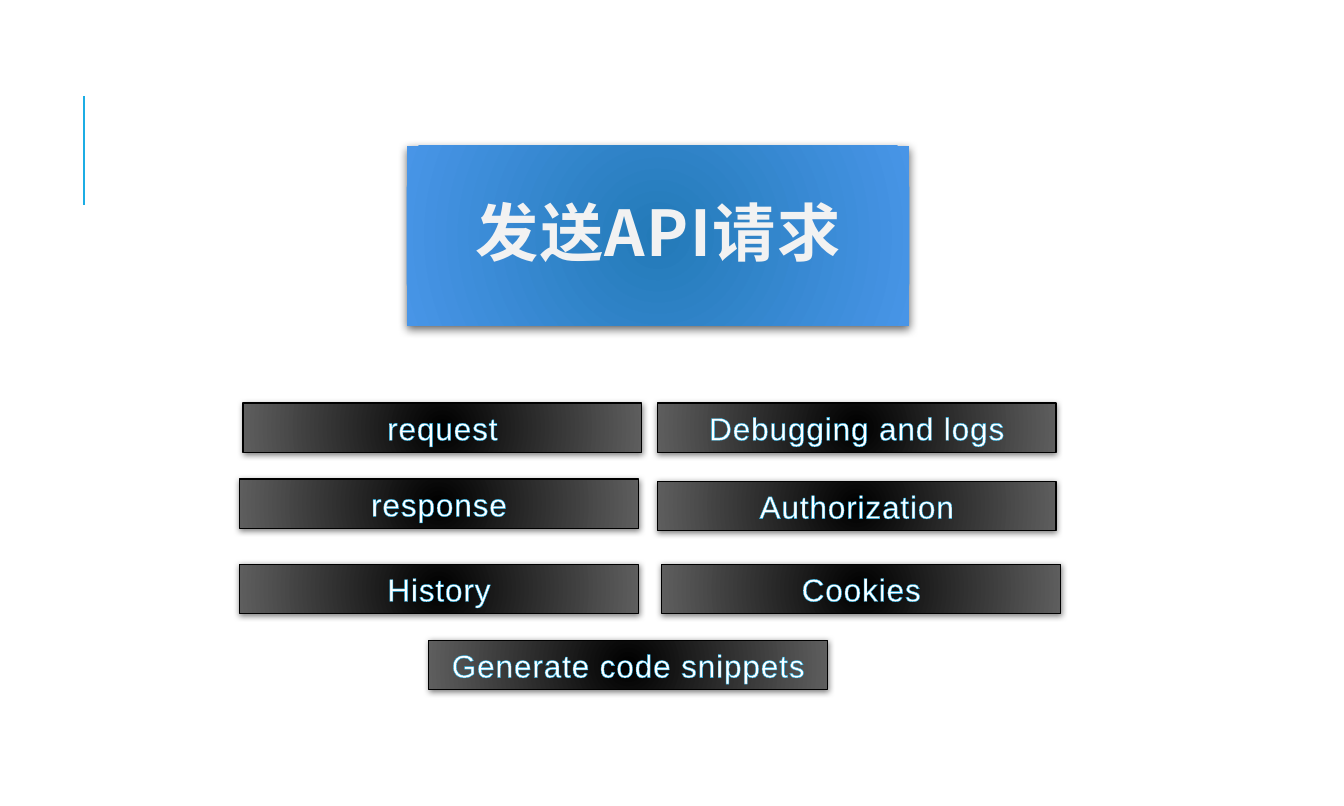
"""Build the slide of API request topics."""
from lxml import etree
from pptx import Presentation, util as u
from pptx.dml.color import RGBColor
from pptx.enum import shapes, text
from pptx.oxml.ns import qn

PX = 9000
WHITE = RGBColor(0xFF, 0xFF, 0xFF)
PALE = RGBColor(0xF2, 0xF2, 0xF2)
BLACK = RGBColor(0, 0, 0)
GRAY = RGBColor(0x5E, 0x5E, 0x5E)
CYAN = RGBColor(0x1C, 0xAD, 0xE4)
BLUE = RGBColor(0x23, 0x7A, 0xB8)
SKY = RGBColor(0x48, 0x95, 0xE7)
BAR_W, BAR_H = 356, 44
TOPICS = [
    ("request", 217, 360),
    ("response", 214, 428),
    ("History", 214, 504),
    ("Debugging and logs", 587, 360),
    ("Cookies", 591, 504),
    ("Authorization", 587, 430),
    ("Generate code snippets", 383, 572),
]


def px(n):
    """Turn pixels into EMU."""
    return u.Emu(n * PX)


def sub(node, tag, **attrs):
    """Add a child element with the given attributes."""
    return etree.SubElement(node, qn(tag), {k: str(v) for k, v in attrs.items()})


def glow(shape, inner, outer):
    """Fill a shape with a radial gradient."""
    shape.fill.gradient()
    for stop, color in zip(shape.fill.gradient_stops, (inner, outer)):
        stop.color.rgb = color
    grad = shape.element.spPr.find(qn("a:gradFill"))
    grad.remove(grad.find(qn("a:lin")))
    ring = sub(grad, "a:path", path="circle")
    sub(ring, "a:fillToRect", l=100000, t=100000, r=100000, b=100000)


def shade(shape, alpha, blur, dist):
    """Give a shape a soft shadow straight below it."""
    shape.shadow.inherit = False
    effects = shape.element.spPr.find(qn("a:effectLst"))
    drop = sub(effects, "a:outerShdw", blurRad=u.Pt(blur), dist=u.Pt(dist),
               dir=5400000, algn="ctr", rotWithShape=0)
    color = sub(drop, "a:srgbClr", val=BLACK)
    sub(color, "a:alpha", val=alpha * 1000)


def write(shape, words, face, size, color, gap):
    """Write one centred paragraph and return its font element."""
    frame = shape.text_frame
    frame.word_wrap = True
    frame.vertical_anchor = text.MSO_ANCHOR.MIDDLE
    para = frame.paragraphs[0]
    para.text = words
    para.alignment = text.PP_ALIGN.CENTER
    font = para.font
    font.name, font.size = face, u.Pt(size)
    font.color.rgb = color
    props = para._p.pPr.find(qn("a:defRPr"))
    props.set("spc", str(gap))
    sub(props, "a:ea", typeface=face)
    return props


def rule(slide, x, top, end):
    """Draw the upright accent line."""
    line = slide.shapes.add_connector(
        shapes.MSO_CONNECTOR.STRAIGHT, px(x), px(end), px(x), px(top))
    line.line.color.rgb = CYAN
    line.line.width = u.Pt(1.5)
    sub(line.element.spPr, "a:effectLst")


def head(slide, words):
    """Format the title placeholder as a blue panel."""
    title = slide.shapes.title
    title.left, title.top = px(363), px(130)
    title.width, title.height = px(449), px(161)
    glow(title, BLUE, SKY)
    shade(title, 60, 6, 2)
    write(title, words, "Noto Sans CJK SC", 40, PALE, 90)
    para = title.text_frame.paragraphs[0]
    para.font.bold = True
    para.line_spacing = 0.9


def bar(slide, words, x, y):
    """Add a dark bar with outlined text."""
    box = slide.shapes.add_shape(
        shapes.MSO_SHAPE.RECTANGLE, px(x), px(y), px(BAR_W), px(BAR_H))
    glow(box, BLACK, GRAY)
    box.line.color.rgb = BLACK
    box.line.width = u.Pt(0.75)
    shade(box, 50, 4, 1)
    props = write(box, words, "Arial", 20, WHITE, 50)
    box.text_frame.auto_size = text.MSO_AUTO_SIZE.SHAPE_TO_FIT_TEXT
    edge = sub(props, "a:ln", w=u.Pt(0.75))
    sub(sub(edge, "a:solidFill"), "a:srgbClr", val=CYAN)
    props.insert(0, edge)


def main():
    """Build and save the slide."""
    deck = Presentation()
    deck.slide_width, deck.slide_height = px(1200), px(720)
    slide = deck.slides.add_slide(deck.slide_layouts[5])
    rule(slide, 75, 86, 183)
    head(slide, "发送API请求")
    for words, x, y in TOPICS:
        bar(slide, words, x, y)
    deck.save("out.pptx")


if __name__ == "__main__":
    main()
